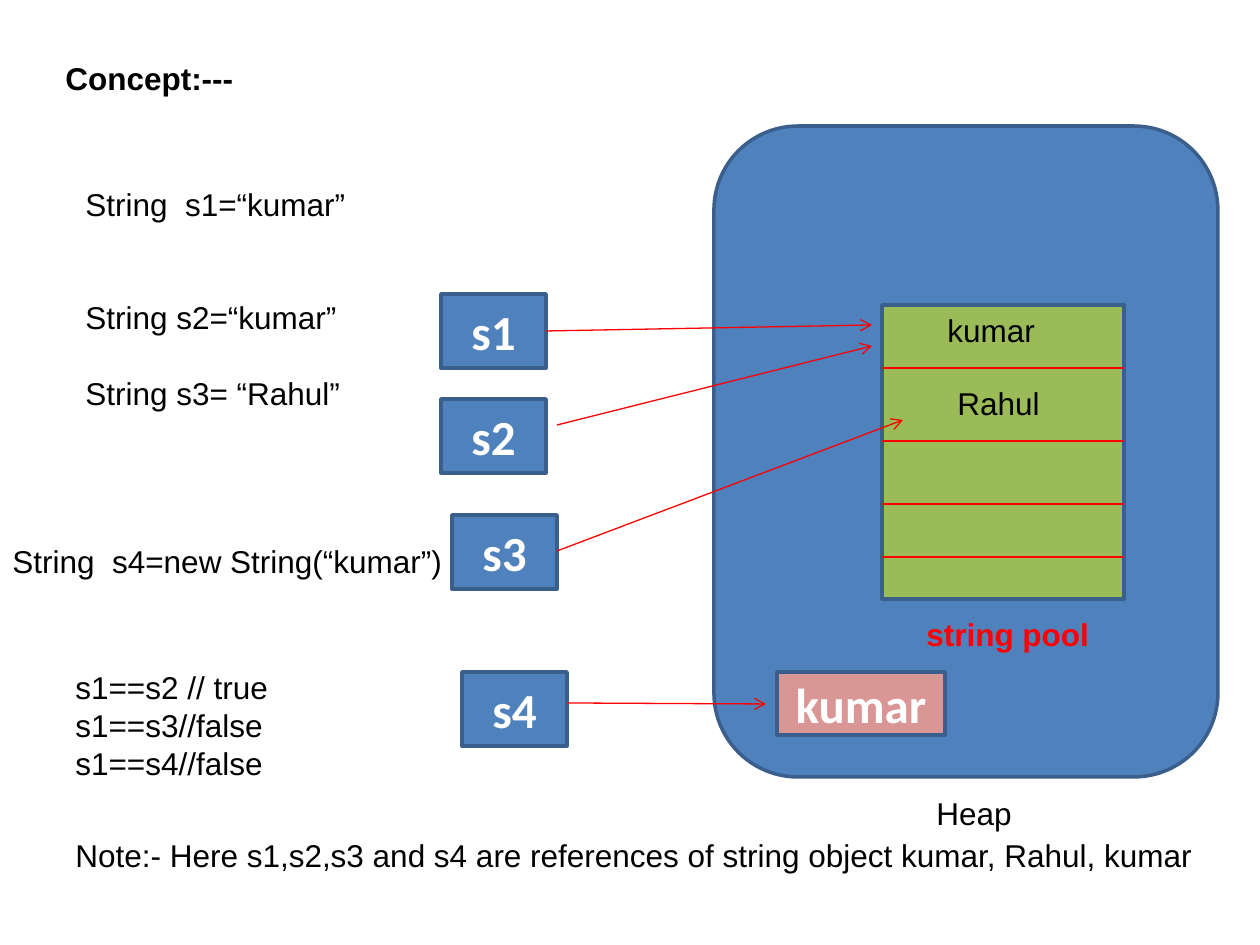
import pptx
import pptx.dml.color
import pptx.enum.shapes
import pptx.enum.text
import pptx.oxml.ns
import pptx.util
from lxml import etree

PIXEL = 914400 / 126
BLUE = pptx.dml.color.RGBColor(0x4F, 0x81, 0xBD)
OUTLINE = pptx.dml.color.RGBColor(0x3A, 0x5F, 0x8C)
GREEN = pptx.dml.color.RGBColor(0x9B, 0xBB, 0x59)
PINK = pptx.dml.color.RGBColor(0xD9, 0x96, 0x94)
RED = pptx.dml.color.RGBColor(0xFF, 0, 0)
BLACK = pptx.dml.color.RGBColor(0, 0, 0)
WHITE = pptx.dml.color.RGBColor(0xFF, 0xFF, 0xFF)
RECTANGLE = pptx.enum.shapes.MSO_SHAPE.RECTANGLE
ROUNDED = pptx.enum.shapes.MSO_SHAPE.ROUNDED_RECTANGLE


def emu(*pixels):
    return [pptx.util.Emu(round(value * PIXEL)) for value in pixels]


def add_run(paragraph, words, size, font, color, bold):
    run = paragraph.add_run()
    run.text = words
    run.font.size = pptx.util.Pt(size)
    run.font.name = font
    run.font.bold = bold
    run.font.color.rgb = color


def add_block(slide, bounds, fill, words=None, kind=RECTANGLE):
    block = slide.shapes.add_shape(kind, *emu(*bounds))
    block.shadow.inherit = False
    block.fill.solid()
    block.fill.fore_color.rgb = fill
    block.line.color.rgb = OUTLINE
    block.line.width = pptx.util.Pt(2)
    if words:
        frame = block.text_frame
        frame.word_wrap = True
        frame.vertical_anchor = pptx.enum.text.MSO_ANCHOR.MIDDLE
        paragraph = frame.paragraphs[0]
        paragraph.alignment = pptx.enum.text.PP_ALIGN.CENTER
        add_run(paragraph, words, 28, "Calibri", WHITE, True)


def add_label(slide, bounds, lines, color=BLACK, bold=False, gaps=None, wrap=False):
    label = slide.shapes.add_textbox(*emu(*bounds))
    frame = label.text_frame
    frame.word_wrap = wrap
    frame.auto_size = pptx.enum.text.MSO_AUTO_SIZE.SHAPE_TO_FIT_TEXT
    for index, words in enumerate(lines):
        paragraph = frame.add_paragraph() if index else frame.paragraphs[0]
        if gaps:
            paragraph.space_before = pptx.util.Pt(gaps[index])
        add_run(paragraph, words, 18, "Arial", color, bold)


def add_line(slide, ends, arrow=False):
    line = slide.shapes.add_connector(
        pptx.enum.shapes.MSO_CONNECTOR.STRAIGHT, *emu(*ends))
    line.line.color.rgb = RED
    line.line.width = pptx.util.Pt(0.75)
    if arrow:
        etree.SubElement(line.line._get_or_add_ln(),
                         pptx.oxml.ns.qn("a:tailEnd"), type="arrow")
    etree.SubElement(line._element.spPr, pptx.oxml.ns.qn("a:effectLst"))


def add_heap(slide):
    add_block(slide, (714, 126, 504, 651), BLUE, kind=ROUNDED)
    add_block(slide, (882, 305, 242, 294), GREEN)
    for divider in (368, 441, 504, 557):
        add_line(slide, (882, divider, 1124, divider))
    add_block(slide, (777, 672, 168, 63), PINK, "kumar")
    add_label(slide, (924, 788, 102, 50), ["Heap"])
    add_label(slide, (914, 609, 190, 50), ["string pool"], RED, True)
    add_label(slide, (935, 305, 113, 50), ["kumar"])
    add_label(slide, (945, 378, 108, 50), ["Rahul"])


def add_references(slide):
    references = [
        ("s1", 441, 294, (546, 331, 872, 325)),
        ("s2", 441, 399, (557, 425, 872, 346)),
        ("s3", 452, 515, (557, 551, 903, 420)),
        ("s4", 462, 672, (567, 703, 766, 704)),
    ]
    for name, left, top, pointer in references:
        add_block(slide, (left, top, 105, 74), BLUE, name)
        add_line(slide, pointer, arrow=True)


def add_code(slide):
    add_label(slide, (53, 53, 195, 50), ["Concept:---"], bold=True)
    add_label(slide, (73, 179, 347, 242),
              ["String  s1=“kumar”", "String s2=“kumar”", "String s3= “Rahul”"],
              gaps=(0, 43, 21.5), wrap=True)
    add_label(slide, (0, 536, 460, 50), ["String  s4=new String(“kumar”)"])
    add_label(slide, (63, 662, 219, 127),
              ["s1==s2 // true", "s1==s3//false", "s1==s4//false"])
    add_label(slide, (63, 830, 1143, 50),
              ["Note:- Here s1,s2,s3 and s4 are references of string object "
               "kumar, Rahul, kumar"])


def main():
    deck = pptx.Presentation()
    deck.slide_width, deck.slide_height = emu(1260, 945)
    slide = deck.slides.add_slide(deck.slide_layouts[6])
    add_heap(slide)
    add_references(slide)
    add_code(slide)
    deck.save("out.pptx")


main()
